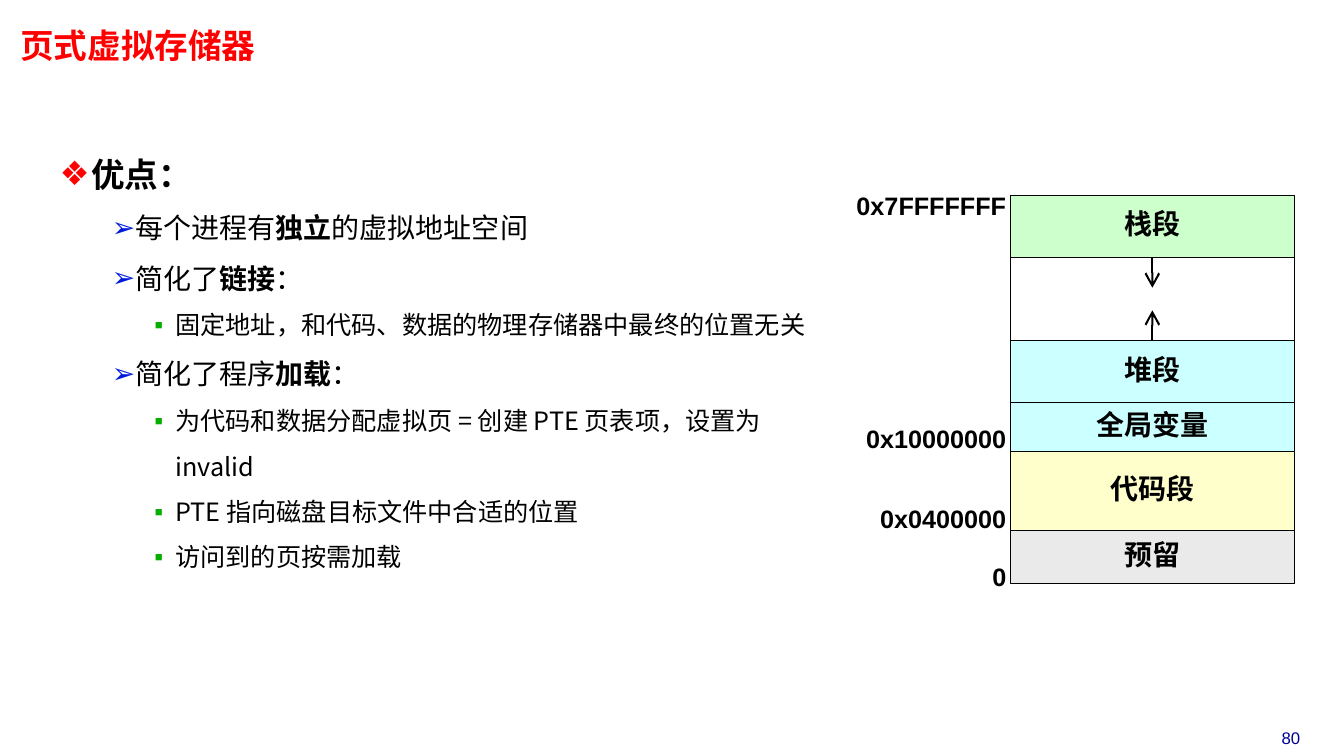
from lxml import etree
from pptx import Presentation
from pptx.dml.color import RGBColor
from pptx.enum.shapes import MSO_CONNECTOR, MSO_SHAPE
from pptx.enum.text import MSO_ANCHOR, MSO_AUTO_SIZE, PP_ALIGN
from pptx.oxml.ns import qn
from pptx.util import Cm, Pt

RECTANGLE = MSO_SHAPE.RECTANGLE
STRAIGHT = MSO_CONNECTOR.STRAIGHT
TOP, MIDDLE = MSO_ANCHOR.TOP, MSO_ANCHOR.MIDDLE
LEFT, CENTER, RIGHT = PP_ALIGN.LEFT, PP_ALIGN.CENTER, PP_ALIGN.RIGHT
NO_AUTOFIT = MSO_AUTO_SIZE.NONE

CHINESE_FONT = "Noto Sans CJK SC"
COLOURS = {
    "title": "FF0000", "text": "000000", "number": "000099",
    "diamond": "FF0000", "arrow": "001ADC", "square": "05AD01",
    "stack": "CCFFCC", "data": "CCFFFF", "code": "FFFFCC", "reserved": "EAEAEA",
}
LEVELS = [
    {"size": 24, "margin": 0.8, "hang": 0.8, "bullet": "❖", "colour": "diamond"},
    {"size": 20, "margin": 1.85, "hang": 0.53, "bullet": "➢", "colour": "arrow"},
    {"size": 18, "margin": 2.92, "hang": 0.53, "bullet": "▪", "colour": "square"},
]
ADVANTAGES = [
    (0, [("优点：", True)]),
    (1, [("每个进程有", False), ("独立", True), ("的虚拟地址空间", False)]),
    (1, [("简化了", False), ("链接", True), ("：", False)]),
    (2, [("固定地址，和代码、数据的物理存储器中最终的位置无关", False)]),
    (1, [("简化了程序", False), ("加载", True), ("：", False)]),
    (2, [("为代码和数据分配虚拟页 = 创建 PTE 页表项，设置为 invalid", False)]),
    (2, [("PTE 指向磁盘目标文件中合适的位置", False)]),
    (2, [("访问到的页按需加载", False)]),
]
SEGMENTS = [
    ("栈段", 1.55, "stack"),
    ("", 2.11, None),
    ("堆段", 1.55, "data"),
    ("全局变量", 1.23, "data"),
    ("代码段", 2.0, "code"),
    ("预留", 1.33, "reserved"),
]
ADDRESSES = [("0x7FFFFFFF", 4.91), ("0x10000000", 10.78), ("0x0400000", 12.8), ("0", 14.25)]
SEGMENT_LEFT, SEGMENT_TOP, SEGMENT_WIDTH = 25.46, 4.93, 7.16
ARROW_LENGTH = 0.77


def colour(name):
    return RGBColor.from_string(COLOURS[name])


def add_run(paragraph, text, size, font="Arial", bold=False, colour_name="text"):
    run = paragraph.add_run()
    run.text = text
    run.font.size = Pt(size)
    run.font.bold = bold
    run.font.color.rgb = colour(colour_name)
    run.font.name = font
    east_asian = etree.SubElement(run.font._element, qn("a:ea"))
    east_asian.set("typeface", CHINESE_FONT)


def place(shape, left, top, width, height):
    shape.left, shape.top = Cm(left), Cm(top)
    shape.width, shape.height = Cm(width), Cm(height)


def set_frame(shape, anchor, horizontal=0, vertical=0):
    frame = shape.text_frame
    frame.auto_size = NO_AUTOFIT
    frame.word_wrap = True
    frame.vertical_anchor = anchor
    frame.margin_left = frame.margin_right = Cm(horizontal)
    frame.margin_top = frame.margin_bottom = Cm(vertical)
    return frame


def set_bullet(paragraph, level):
    properties = paragraph._p.get_or_add_pPr()
    properties.set("marL", str(Cm(level["margin"])))
    properties.set("indent", str(-Cm(level["hang"])))
    bullet_colour = etree.SubElement(properties, qn("a:buClr"))
    etree.SubElement(bullet_colour, qn("a:srgbClr")).set("val", COLOURS[level["colour"]])
    etree.SubElement(properties, qn("a:buChar")).set("char", level["bullet"])


def fill_title(title):
    place(title, 0.33, 0.69, 14.6, 1.04)
    paragraph = set_frame(title, TOP, 0.18, 0.08).paragraphs[0]
    paragraph.alignment = LEFT
    paragraph.line_spacing = 0.87
    add_run(paragraph, "页式虚拟存储器", 24, "Noto Sans Mono", True, "title")


def fill_list(body):
    place(body, 1.32, 3.28, 19.3, 12.45)
    frame = set_frame(body, TOP, 0.18, 0.08)
    for index, (depth, runs) in enumerate(ADVANTAGES):
        paragraph = frame.add_paragraph() if index else frame.paragraphs[0]
        level = LEVELS[depth]
        paragraph.level = depth
        set_bullet(paragraph, level)
        paragraph.line_spacing = 1.5
        paragraph.space_before = Pt(0)
        for text, bold in runs:
            add_run(paragraph, text, level["size"], CHINESE_FONT, bold)


def add_segment(slide, text, top, height, fill):
    shape = slide.shapes.add_shape(
        RECTANGLE, Cm(SEGMENT_LEFT), Cm(top), Cm(SEGMENT_WIDTH), Cm(height))
    shape.shadow.inherit = False
    shape.line.color.rgb = colour("text")
    shape.line.width = Pt(0.75)
    if fill:
        shape.fill.solid()
        shape.fill.fore_color.rgb = colour(fill)
    else:
        shape.fill.background()
    if text:
        paragraph = set_frame(shape, MIDDLE).paragraphs[0]
        paragraph.alignment = CENTER
        paragraph.line_spacing = 0.85
        add_run(paragraph, text, 20, bold=True)
    return shape


def add_label(slide, text, left, top, width, height, alignment, size, bold, colour_name):
    box = slide.shapes.add_textbox(Cm(left), Cm(top), Cm(width), Cm(height))
    paragraph = set_frame(box, TOP).paragraphs[0]
    paragraph.alignment = alignment
    paragraph.line_spacing = 0.85
    add_run(paragraph, text, size, bold=bold, colour_name=colour_name)


def add_growth_arrow(slide, segment, site, start, length):
    middle = Cm(SEGMENT_LEFT + SEGMENT_WIDTH / 2)
    connector = slide.shapes.add_connector(
        STRAIGHT, middle, start, middle, start + Cm(length))
    connector.begin_connect(segment, site)
    connector.line.color.rgb = colour("text")
    connector.line.width = Pt(1.5)
    arrowhead = etree.SubElement(connector.line._get_or_add_ln(), qn("a:tailEnd"))
    for name, value in (("type", "arrow"), ("w", "lg"), ("len", "lg")):
        arrowhead.set(name, value)
    etree.SubElement(connector._element.spPr, qn("a:effectLst"))


def add_memory_map(slide):
    shapes = {}
    top = SEGMENT_TOP
    for text, height, fill in SEGMENTS:
        shapes[text] = add_segment(slide, text, top, height, fill)
        top += height
    for address, label_top in ADDRESSES:
        add_label(slide, address, 21.55, label_top, 3.81, 0.6, RIGHT, 18, True, "text")
    stack, heap = shapes["栈段"], shapes["堆段"]
    add_growth_arrow(slide, heap, 0, heap.top, -ARROW_LENGTH)
    add_growth_arrow(slide, stack, 2, stack.top + stack.height, ARROW_LENGTH)


def main():
    presentation = Presentation()
    presentation.slide_width, presentation.slide_height = Cm(33.87), Cm(19.05)
    slide = presentation.slides.add_slide(presentation.slide_layouts[1])
    fill_title(slide.shapes.title)
    fill_list(slide.placeholders[1])
    add_memory_map(slide)
    add_label(slide, "80", 31.34, 18.42, 2.39, 0.5, CENTER, 12, False, "number")
    presentation.save("out.pptx")


if __name__ == "__main__":
    main()
